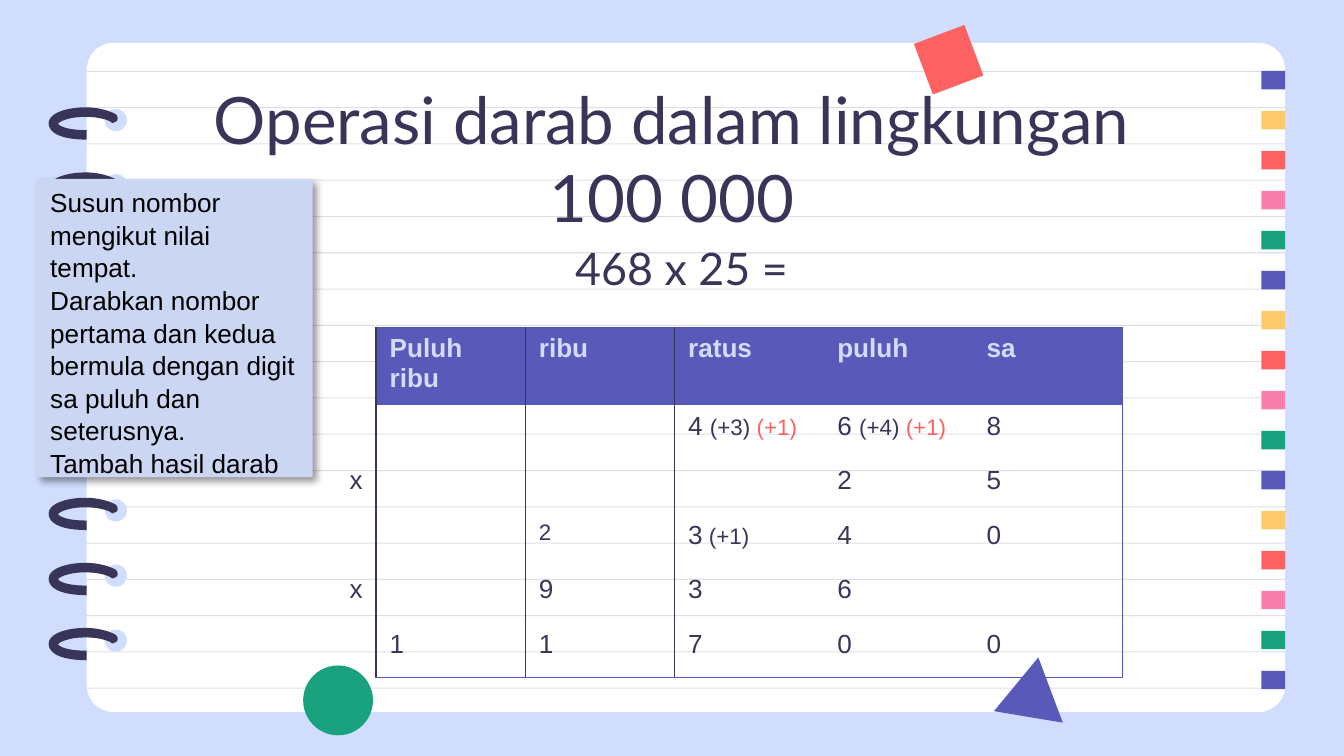
from dataclasses import dataclass
from typing import NamedTuple

from lxml.etree import SubElement
from pptx import Presentation
from pptx.dml.color import RGBColor
from pptx.enum.shapes import MSO_SHAPE
from pptx.enum.text import MSO_ANCHOR, MSO_AUTO_SIZE, PP_ALIGN
from pptx.oxml.ns import qn
from pptx.util import Cm, Pt

INK, SKY, WHITE = "393558", "D0DDFC", "FFFFFF"
PURPLE, YELLOW, RED, PINK, GREEN = "5859B8", "FEC96A", "FD6162", "F87EAB", "1AA17E"
NOTE_BLUE, BLACK, FRAME = "CAD6F2", "000000", "5455B6"
NO_GRID_STYLE = "{2D5ABB26-0587-4C30-8999-92F81FD0307C}"


@dataclass
class Block:
    kind: MSO_SHAPE
    left: float
    top: float
    width: float
    height: float
    color: str
    rotation: float = 0


class Piece(NamedTuple):
    text: str
    size: float = 14
    color: str = INK
    bold: bool = False


def rgb(color: str) -> RGBColor:
    return RGBColor.from_string(color)


def finish(shape, color: str):
    shape.shadow.inherit = False
    shape.fill.solid()
    shape.fill.fore_color.rgb = rgb(color)
    shape.line.fill.background()
    return shape


def draw_block(slide, block: Block):
    box = map(Cm, (block.left, block.top, block.width, block.height))
    shape = finish(slide.shapes.add_shape(block.kind, *box), block.color)
    shape.rotation = block.rotation
    return shape


def format_runs(paragraph, font: str, size: float, color: str, bold: bool = False) -> None:
    for run in paragraph.runs:
        run.font.name, run.font.size, run.font.bold = font, Pt(size), bold
        run.font.color.rgb = rgb(color)


def draw_heading(slide, text: str, box: tuple, size: float, anchor: MSO_ANCHOR):
    frame = slide.shapes.add_textbox(*map(Cm, box)).text_frame
    frame.word_wrap = True
    frame.vertical_anchor = anchor
    frame.margin_left = frame.margin_right = Cm(0.25)
    frame.margin_top = frame.margin_bottom = Cm(0.25)
    frame.text = text
    paragraph = frame.paragraphs[0]
    paragraph.alignment = PP_ALIGN.CENTER
    format_runs(paragraph, "Lato", size, INK)
    return paragraph


# Ring outline in cm: one point is a straight step, three are a Bezier curve
RING_START = (0.69, 0)
RING_STEPS = [
    [(0.36, 0), (0, 0.1), (0, 0.3)], [(0, 0.53), (0.36, 0.61), (0.69, 0.61)],
    [(0.72, 0.61)], [(0.72, 0.43)], [(0.69, 0.43)],
    [(0.38, 0.43), (0.2, 0.36), (0.18, 0.31)], [(0.2, 0.27), (0.38, 0.18), (0.69, 0.18)],
    [(0.94, 0.18), (1.09, 0.23), (1.17, 0.27)], [(1.2, 0.3), (1.22, 0.3), (1.24, 0.28)],
    [(1.32, 0.27), (1.32, 0.18), (1.27, 0.13)], [(1.12, 0.05), (0.91, 0), RING_START],
]


def ring_points(samples: int = 10) -> list[tuple[float, float]]:
    points = [RING_START]
    for step in RING_STEPS:
        if len(step) == 1:
            points += step
            continue
        corners = [points[-1], *step]
        for index in range(1, samples + 1):
            t = index / samples
            weights = ((1 - t) ** 3, 3 * t * (1 - t) ** 2, 3 * t * t * (1 - t), t ** 3)
            points.append(tuple(sum(w * c[axis] for w, c in zip(weights, corners))
                                for axis in (0, 1)))
    return points


def draw_ring(slide, left: float, top: float) -> None:
    first, *rest = [(Cm(left + x), Cm(top + y)) for x, y in ring_points()]
    builder = slide.shapes.build_freeform(*first)
    builder.add_line_segments(rest, close=True)
    finish(builder.convert_to_shape(), INK)


def draw_note(slide, lines: list[str]) -> None:
    shape = draw_block(slide, Block(MSO_SHAPE.RECTANGLE, 0.7, 3.38, 5.21, 5.64, NOTE_BLUE))
    effects = shape._element.spPr.find(qn("a:effectLst"))
    shadow = SubElement(effects, qn("a:outerShdw"), blurRad=str(Pt(4)), dist=str(Pt(3)),
                        dir="2700000", algn="tl", rotWithShape="0")
    color = SubElement(shadow, qn("a:srgbClr"), val=BLACK)
    SubElement(color, qn("a:alpha"), val="40000")
    frame = shape.text_frame
    frame.word_wrap = True
    frame.auto_size = MSO_AUTO_SIZE.SHAPE_TO_FIT_TEXT
    frame.vertical_anchor = MSO_ANCHOR.TOP
    frame.text = "\n".join(lines)
    for paragraph in frame.paragraphs:
        paragraph.alignment = PP_ALIGN.LEFT
        paragraph.line_spacing = 1.04
        format_runs(paragraph, "Arial", 14, BLACK)


def add_border(cell, side: str, color: str, width: float) -> None:
    line = SubElement(cell._tc.get_or_add_tcPr(), qn(f"a:ln{side}"), w=str(Pt(width)))
    SubElement(SubElement(line, qn("a:solidFill")), qn("a:srgbClr"), val=color)


def fill_cell(cell, pieces: list[Piece], align: PP_ALIGN) -> None:
    paragraph = cell.text_frame.paragraphs[0]
    paragraph.alignment = align
    for piece in pieces:
        run = paragraph.add_run()
        run.text = piece.text
        run.font.name, run.font.size, run.font.bold = "Arial", Pt(piece.size), piece.bold
        run.font.color.rgb = rgb(piece.color)


def draw_table(slide, rows: list[list]) -> None:
    row_count, column_count = len(rows), len(rows[0])
    table = slide.shapes.add_table(row_count, column_count, Cm(4.29), Cm(6.19),
                                   Cm(2.82 * column_count), Cm(6.61)).table
    table._tbl.tblPr.find(qn("a:tableStyleId")).text = NO_GRID_STYLE
    for column in table.columns:
        column.width = Cm(2.82)
    for r, row in enumerate(rows):
        table.rows[r].height = Cm(1.03 if r else 1.46)
        for c, content in enumerate(row):
            cell = table.cell(r, c)
            if isinstance(content, str):
                style = Piece(content) if r else Piece(content, color=SKY, bold=True)
                content = [style] if content else []
            fill_cell(cell, content, PP_ALIGN.LEFT if c else PP_ALIGN.RIGHT)
            # Borders: dark place-value lines, thin outer frame
            if c in (1, 2):
                add_border(cell, "L", INK, 1)
            if c in (0, 1):
                add_border(cell, "R", INK, 1)
            if c == column_count - 1:
                add_border(cell, "R", FRAME, 0.75)
            if c and r == 0:
                add_border(cell, "T", FRAME, 0.75)
            if c and r == row_count - 1:
                add_border(cell, "B", FRAME, 0.75)
            if c and r == 0:
                cell.fill.solid()
                cell.fill.fore_color.rgb = rgb(PURPLE)
            else:
                cell.fill.background()


def carried(digit: str, first: str) -> list[Piece]:
    return [Piece(f"{digit} "), Piece(f"{first} ", 12), Piece("(+1)", 12, RED)]


def main() -> None:
    presentation = Presentation()
    presentation.slide_width, presentation.slide_height = Cm(25.4), Cm(14.29)
    slide = presentation.slides.add_slide(presentation.slide_layouts[6])
    slide.background.fill.solid()
    slide.background.fill.fore_color.rgb = rgb(SKY)

    # Notebook page with ruled lines
    page = draw_block(slide, Block(MSO_SHAPE.ROUNDED_RECTANGLE, 1.64, 0.81, 22.65, 12.65, WHITE))
    page.adjustments[0] = 0.04
    for index in range(18):
        top = 1.34 + index * (13 - 1.34) / 17
        rule = draw_block(slide, Block(MSO_SHAPE.RECTANGLE, 1.64, top, 22.65, 0.02, INK))
        SubElement(rule._element.spPr.find(".//" + qn("a:srgbClr")), qn("a:alpha"), val="16000")

    # Binding: holes and rings
    ring_tops = [2.03 + 1.23 * slot for slot in (0, 1, 6, 7, 8)]
    for top in ring_tops:
        draw_block(slide, Block(MSO_SHAPE.OVAL, 1.98, top + 0.03, 0.42, 0.42, SKY))
        draw_ring(slide, 0.92, top)

    # Index tabs
    tab_colors = [PURPLE, YELLOW, RED, PINK, GREEN]
    for index in range(16):
        top = 1.34 + index * (12.68 - 1.34) / 15
        draw_block(slide, Block(MSO_SHAPE.RECTANGLE, 23.84, top, 0.45, 0.35, tab_colors[index % 5]))

    # Loose ornaments
    for block in (Block(MSO_SHAPE.OVAL, 5.73, 12.58, 1.32, 1.32, GREEN),
                  Block(MSO_SHAPE.RECTANGLE, 17.42, 0.62, 1.02, 1.02, RED, 339.4),
                  Block(MSO_SHAPE.ISOSCELES_TRIANGLE, 18.87, 12.42, 1.32, 1.14, PURPLE, 9.5)):
        draw_block(slide, block)

    # Headings
    draw_heading(slide, "Operasi darab dalam lingkungan\v100 000", (2.64, 1.24, 20.12, 1.6),
                 35, MSO_ANCHOR.TOP)
    sum_line = draw_heading(slide, "468 x 25 =", (7.52, 4.55, 10.34, 1.27), 24, MSO_ANCHOR.BOTTOM)
    sum_line.line_spacing = 1.15
    properties = sum_line._p.get_or_add_pPr()
    properties.set("marL", str(Cm(1.27)))
    properties.set("indent", str(Cm(-0.89)))

    # Instructions and working
    draw_note(slide, [
        "Susun nombor mengikut nilai tempat.",
        "Darabkan nombor pertama dan kedua bermula dengan digit sa puluh dan seterusnya.",
        "Tambah hasil darab",
    ])
    draw_table(slide, [
        ["", "Puluh ribu", "ribu", "ratus", "puluh", "sa"],
        ["", "", "", carried("4", "(+3)"), carried("6", "(+4)"), "8"],
        ["x", "", "", "", "2", "5"],
        ["", "", [Piece("2", 12)], [Piece("3"), Piece(" (+1)", 12)], "4", "0"],
        ["x", "", "9", "3", "6", ""],
        ["", "1", "1", "7", "0", "0"],
    ])
    presentation.save("out.pptx")


if __name__ == "__main__":
    main()
